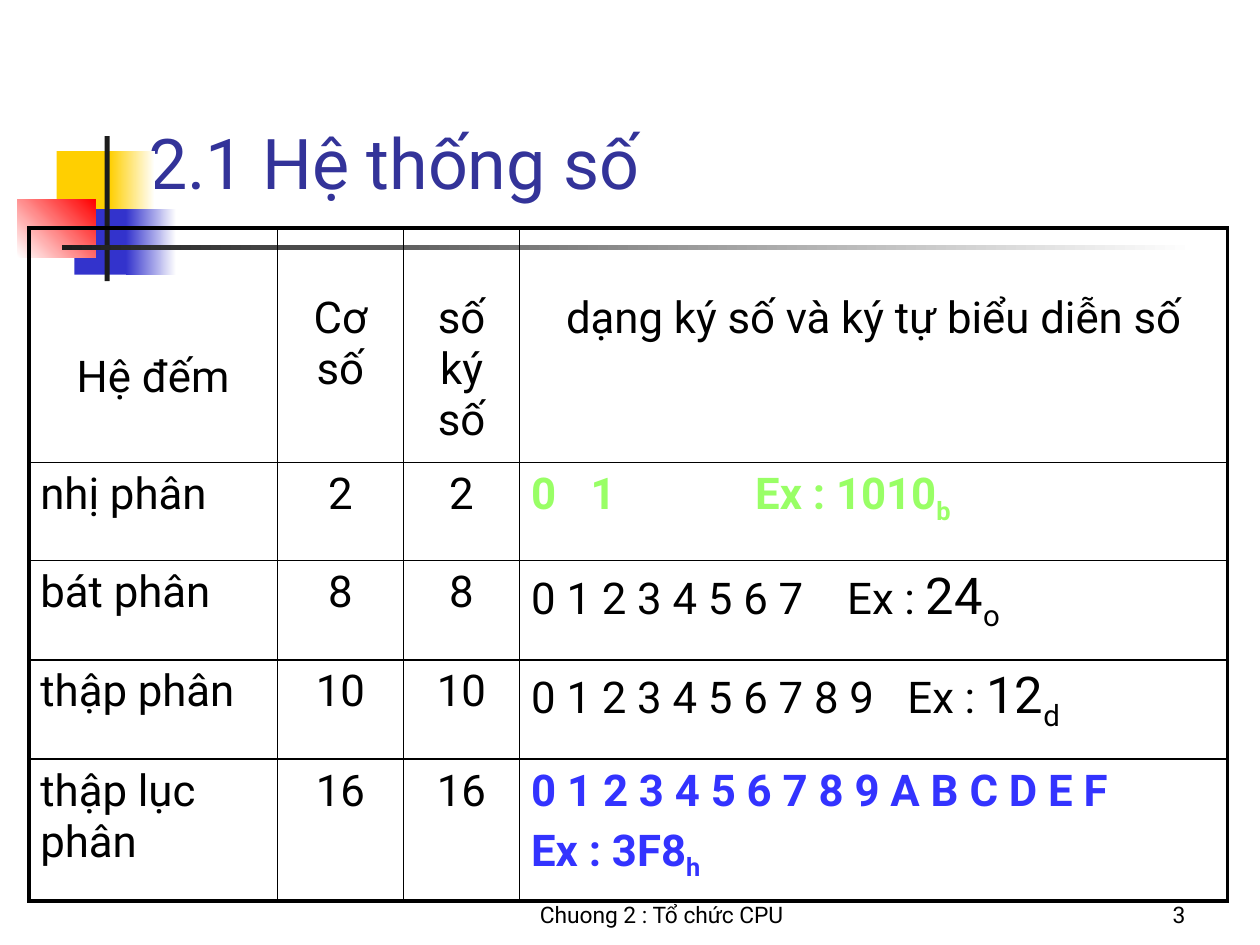
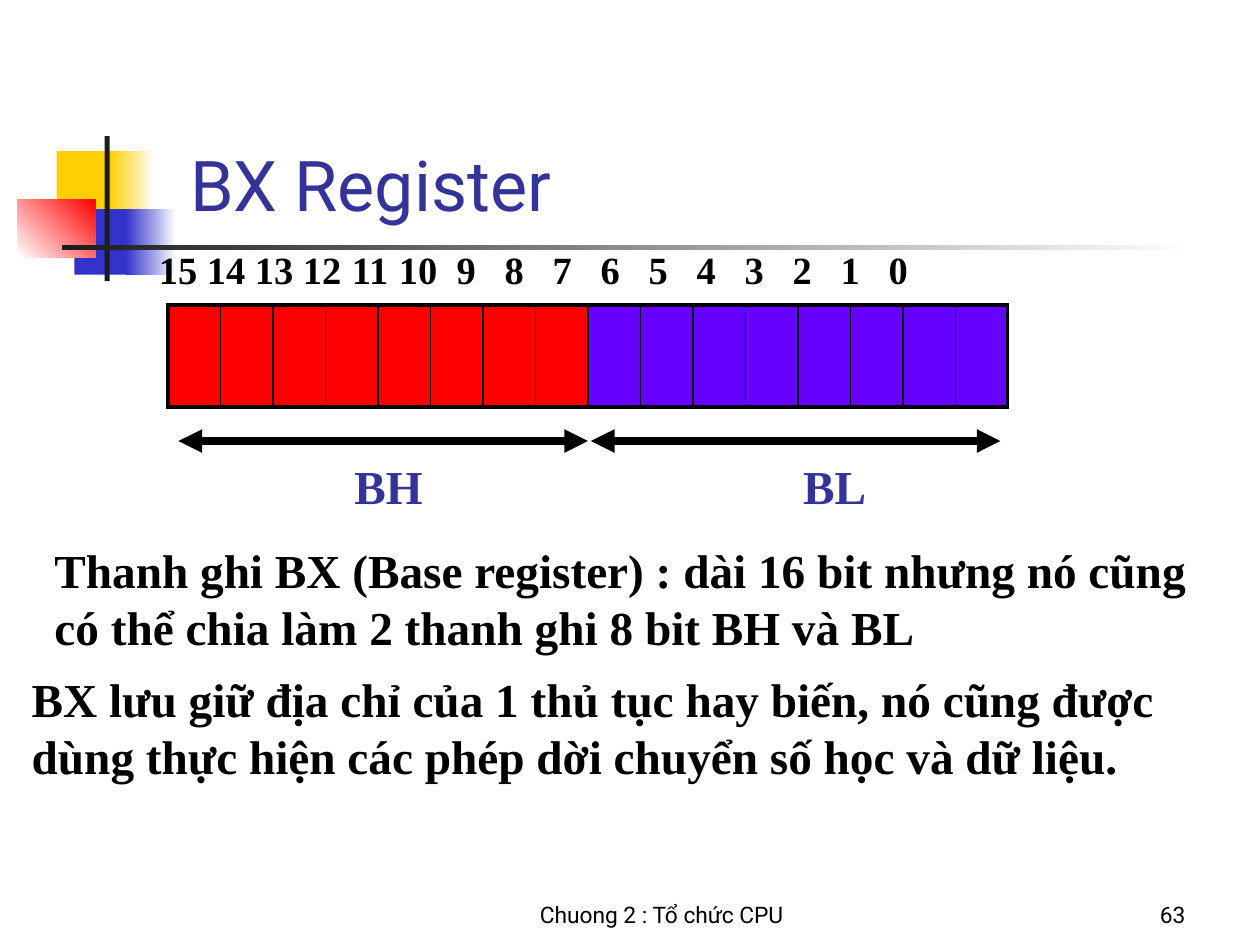
import pptx
import pptx.util
import pptx.dml.color
import pptx.enum.shapes
import pptx.enum.text
import pptx.oxml.ns
import lxml.etree
from dataclasses import dataclass

Pt = pptx.util.Pt
RGB = pptx.dml.color.RGBColor.from_string
ALIGN = pptx.enum.text.PP_ALIGN
ANCHOR = pptx.enum.text.MSO_ANCHOR
qn = pptx.oxml.ns.qn


@dataclass(frozen=True)
class Theme:
    sans: str = "Roboto"
    serif: str = "Times New Roman"
    black: str = "000000"
    white: str = "FFFFFF"
    title: str = "333399"
    yellow: str = "FFCF01"
    blue: str = "3333CC"
    red: str = "FF0000"
    dark: str = "1C1C1C"
    green: str = "99FF66"
    hexa: str = "3333FF"
    violet: str = "6600FF"
    title_size: float = 40
    table_size: float = 25
    example_size: float = 29
    note_size: float = 27
    bit_size: float = 22
    footer_size: float = 13
    thick: float = 2.25
    thin: float = 1


T = Theme()


def sub(parent, tag, **attrs):
    return lxml.etree.SubElement(parent, qn(tag), **attrs)


def write(p, text, size=T.table_size, color=T.black, font=T.sans, bold=False,
          base=None, align=None, before=None, tabs=(), tab_kind="l"):
    r = p.add_run()
    r.text = text
    r.font.size = Pt(size)
    r.font.name = font
    r.font.bold = bold
    r.font.color.rgb = RGB(color)
    if base:
        r.font._element.set("baseline", str(base * 1000))
    if align is not None:
        p.alignment = align
    if before is not None:
        p.space_before = Pt(before)
    if tabs:
        tab_list = sub(p._p.get_or_add_pPr(), "a:tabLst")
        for pos in tabs:
            sub(tab_list, "a:tab", pos=str(Pt(pos)), algn=tab_kind)


class Deck:
    def __init__(self, theme):
        self.theme = theme
        self.prs = pptx.Presentation()
        self.prs.slide_width, self.prs.slide_height = Pt(720), Pt(540)
        self.s = None

    def slide(self, title, number, box):
        t = self.theme
        self.s = self.prs.slides.add_slide(self.prs.slide_layouts[5])
        self.band(32.4, 86.4, 34.6, 37.4, t.yellow)
        self.band(62.6, 86.4, 25.9, 37.4, t.yellow, t.white)
        self.band(42.5, 119.5, 33.1, 37.4, t.blue)
        self.band(72, 119.5, 28.8, 37.4, t.blue, t.white)
        self.band(10, 113.8, 44.6, 33.1, t.white, t.red, 45)
        self.band(59.8, 77.8, 2.9, 82.8, t.dark)
        self.band(35.3, 140.2, 647.3, 2.4, t.dark, t.white)
        footer = dict(size=t.footer_size, anchor=ANCHOR.BOTTOM)
        self.text("Chuong 2 : Tổ chức CPU", 264, 498, 228, 36, align=ALIGN.CENTER, **footer)
        self.text(str(number), 534, 498, 150, 36, align=ALIGN.RIGHT, **footer)
        sp = self.s.shapes.title
        sp.left, sp.top, sp.width, sp.height = map(Pt, box)
        tf = self.frame(sp, ANCHOR.BOTTOM)
        write(tf.paragraphs[0], title, size=t.title_size, color=t.title, align=ALIGN.LEFT)

    def frame(self, sp, anchor):
        tf = sp.text_frame
        tf.word_wrap = True
        tf.auto_size = pptx.enum.text.MSO_AUTO_SIZE.NONE
        tf.vertical_anchor = anchor
        tf.margin_left = tf.margin_right = Pt(6.6)
        tf.margin_top = tf.margin_bottom = Pt(3.6)
        return tf

    def band(self, x, y, w, h, color, end=None, angle=0):
        sp = self.s.shapes.add_shape(pptx.enum.shapes.MSO_SHAPE.RECTANGLE,
                                     Pt(x), Pt(y), Pt(w), Pt(h))
        sp.shadow.inherit = False
        sp.line.fill.background()
        if end is None:
            sp.fill.solid()
            sp.fill.fore_color.rgb = RGB(color)
            return
        sp.fill.gradient()
        sp.fill.gradient_angle = angle
        for stop, c in zip(sp.fill.gradient_stops, (color, end)):
            stop.color.rgb = RGB(c)

    def text(self, text, x, y, w, h, anchor=ANCHOR.TOP, **fmt):
        sp = self.s.shapes.add_textbox(Pt(x), Pt(y), Pt(w), Pt(h))
        write(self.frame(sp, anchor).paragraphs[0], text, **fmt)

    def arrow(self, x1, x2, y):
        c = self.s.shapes.add_connector(pptx.enum.shapes.MSO_CONNECTOR.STRAIGHT,
                                        Pt(x1), Pt(y), Pt(x2), Pt(y))
        c.line.color.rgb = RGB(self.theme.black)
        c.line.width = Pt(4.5)
        ln = c.line._get_or_add_ln()
        sub(ln, "a:headEnd", type="triangle")
        sub(ln, "a:tailEnd", type="triangle")
        sub(c._element.spPr, "a:effectLst")

    def table(self, x, y, cols, rows):
        gf = self.s.shapes.add_table(len(rows), len(cols), Pt(x), Pt(y),
                                     Pt(sum(cols)), Pt(sum(rows)))
        tbl = gf.table
        tbl.first_row = tbl.horz_banding = False
        for col, w in zip(tbl.columns, cols):
            col.width = Pt(w)
        for row, h in zip(tbl.rows, rows):
            row.height = Pt(h)
        for i in range(len(rows)):
            for j in range(len(cols)):
                cell = tbl.cell(i, j)
                cell.margin_left = cell.margin_right = Pt(6.6)
                cell.margin_top = cell.margin_bottom = Pt(3.6)
                cell.fill.background()
                self.borders(cell, j == 0, j == len(cols) - 1, i == 0, i == len(rows) - 1)
        return tbl

    def borders(self, cell, *outer):
        tcPr = cell._tc.get_or_add_tcPr()
        for k, (side, edge) in enumerate(zip("LRTB", outer)):
            width = self.theme.thick if edge else self.theme.thin
            ln = sub(tcPr, "a:ln" + side, w=str(Pt(width)))
            sub(sub(ln, "a:solidFill"), "a:srgbClr", val=self.theme.black)
            tcPr.insert(k, ln)


def number_systems(d):
    d.slide("2.1 Hệ thống số", 3, (78, 30, 613.4, 90))
    tbl = d.table(16.5, 130.3, (142, 72, 66.5, 404.5), (134, 56, 56.8, 56.8, 81))
    headings = ("Hệ đếm", "Cơ số", "số ký số", "dạng ký số và ký tự biểu diễn số")
    for j, heading in enumerate(headings):
        cell = tbl.cell(0, j)
        cell.margin_top = Pt(37 if j else 71)
        write(cell.text_frame.paragraphs[0], heading, align=ALIGN.CENTER)

    green = dict(color=T.green, bold=True)
    violet = dict(color=T.hexa, bold=True)
    large = dict(size=T.example_size)
    low = dict(base=-25)
    systems = (
        ("nhị phân", 2, [[("0\t1\tEx : 1010", green | dict(tabs=(34, 128))),
                          ("b", green | low)]]),
        ("bát phân", 8, [[("0 1 2 3 4 5 6 7\tEx : ", dict(tabs=(180.6,))),
                          ("24", large), ("o", large | low)]]),
        ("thập phân", 10, [[("0 1 2 3 4 5 6 7 8 9\tEx : ", dict(tabs=(215,))),
                            ("12", large), ("d", large | low)]]),
        ("thập lục phân", 16, [[("0 1 2 3 4 5 6 7 8 9 A B C D E F", violet)],
                               [("Ex : 3F8", violet | dict(before=5)),
                                ("h", violet | low)]]),
    )
    for i, (name, radix, lines) in enumerate(systems, 1):
        write(tbl.cell(i, 0).text_frame.paragraphs[0], name)
        for j in (1, 2):
            write(tbl.cell(i, j).text_frame.paragraphs[0], str(radix), align=ALIGN.CENTER)
        tf = tbl.cell(i, 3).text_frame
        for k, runs in enumerate(lines):
            p = tf.add_paragraph() if k else tf.paragraphs[0]
            for text, fmt in runs:
                write(p, text, **fmt)


def bx_register(d):
    d.slide("BX Register", 63, (102, 90, 491, 42.5))
    serif = dict(font=T.serif, bold=True)
    d.text("\t".join(str(bit) for bit in range(15, -1, -1)), 84.2, 136.8, 498, 36,
           size=T.bit_size, tabs=[11 + 27.43 * i for i in range(1, 16)],
           tab_kind="ctr", **serif)
    tbl = d.table(96, 174.2, [30] * 16, [58.3])
    for j in range(16):
        fill = tbl.cell(0, j).fill
        fill.solid()
        fill.fore_color.rgb = RGB(T.red if j < 8 else T.violet)
    for name, x, w, start in (("BH", 150, 144, 102), ("BL", 414, 126, 337.7)):
        d.arrow(start, start + 234, 252)
        d.text(name, x, 257.8, w, 43.2, size=T.note_size, color=T.title,
               align=ALIGN.CENTER, **serif)
    d.text("Thanh ghi BX (Base register) : dài 16 bit nhưng nó cũng có thể chia "
           "làm 2 thanh ghi 8 bit BH và BL", 24.5, 306, 671.8, 79.2,
           size=T.note_size, **serif)
    d.text("BX lưu giữ địa chỉ của 1 thủ tục hay biến, nó cũng được dùng thực hiện "
           "các phép dời chuyển số học và dữ liệu.", 11.5, 379.4, 666, 104.4,
           size=T.note_size, **serif)


d = Deck(T)
number_systems(d)
bx_register(d)
d.prs.save("out.pptx")
